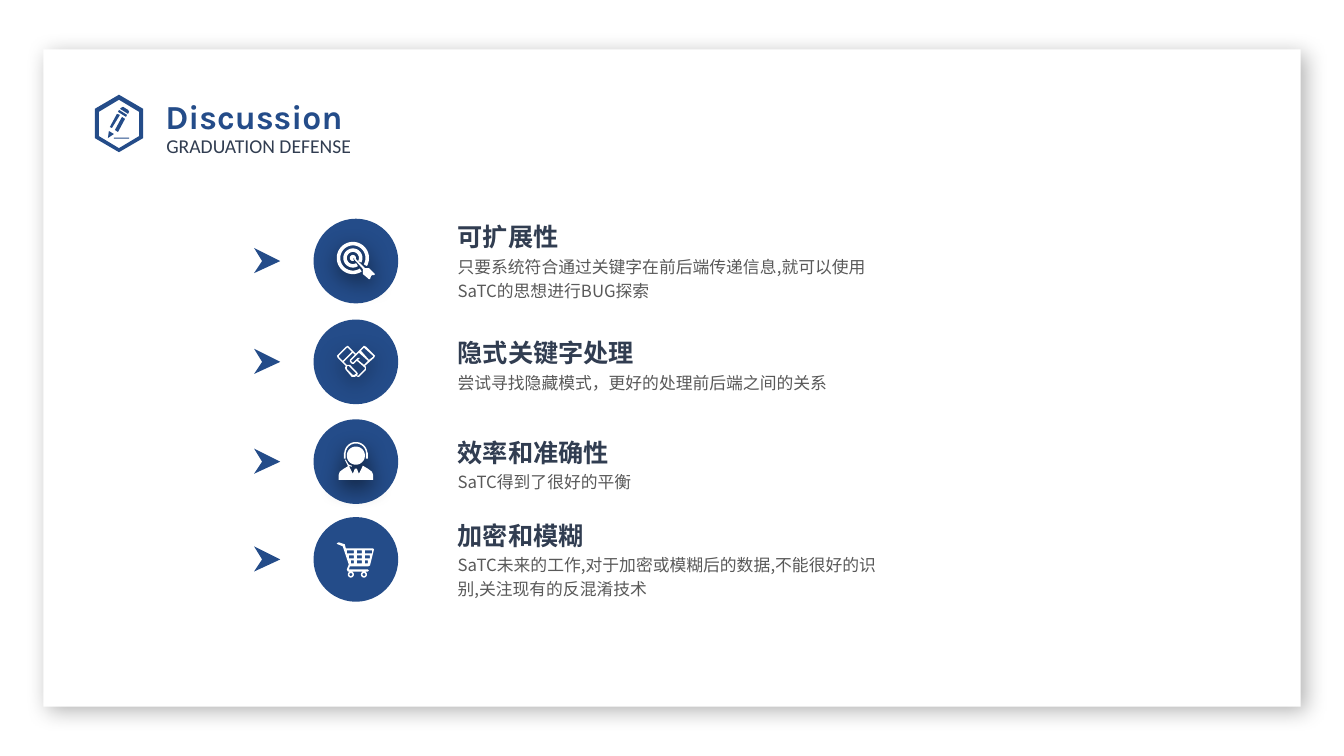
import math
from dataclasses import dataclass

import lxml.etree
import pptx
import pptx.dml.color
import pptx.enum.shapes
import pptx.enum.text
import pptx.oxml
import pptx.oxml.ns
import pptx.util


@dataclass
class Theme:
    blue: str = "244C89"
    ink: str = "313D51"
    gray: str = "595959"
    white: str = "FFFFFF"
    latin: str = "Calibri"
    head: str = "Karla"
    han: str = "Noto Sans CJK SC"
    title: int = 24
    label: int = 18
    sub: int = 14
    body: int = 12


theme = Theme()
inch = pptx.util.Inches
rgb = pptx.dml.color.RGBColor.from_string
qn = pptx.oxml.ns.qn

deck = pptx.Presentation()
deck.slide_width, deck.slide_height = inch(13.33), inch(7.5)
slide = deck.slides.add_slide(deck.slide_layouts[5])
shapes = slide.shapes


def paint(shape, color, shade=None):
    """Fill a shape; shade is opacity in percent, blur, distance, angle."""
    shape.shadow.inherit = False
    shape.fill.solid()
    shape.fill.fore_color.rgb = rgb(color)
    shape.line.fill.background()
    if shade:
        alpha, blur, dist, angle = shade
        list_el = shape._element.spPr.find(qn("a:effectLst"))
        cast = lxml.etree.SubElement(
            list_el, qn("a:outerShdw"), blurRad=str(blur * 12700),
            dist=str(dist * 12700), dir=str(angle * 60000),
            algn="ctr", rotWithShape="0")
        tone = lxml.etree.SubElement(cast, qn("a:srgbClr"), val="000000")
        lxml.etree.SubElement(tone, qn("a:alpha"), val=str(alpha * 1000))


def write(box, text, size, font, color, bold=False, space=1.2):
    """Put one line of formatted text in a box."""
    frame = box.text_frame
    frame.word_wrap = True
    frame.vertical_anchor = pptx.enum.text.MSO_ANCHOR.TOP
    para = frame.paragraphs[0]
    para.alignment = pptx.enum.text.PP_ALIGN.LEFT
    para.line_spacing = space
    run = para.add_run()
    run.text = text
    run.font.size = pptx.util.Pt(size)
    run.font.name = font
    run.font.bold = bold
    run.font.color.rgb = rgb(color)
    lxml.etree.SubElement(run._r.get_or_add_rPr(), qn("a:ea"), typeface=font)


# Outlines in hundredths of an inch around their centre.
# A list holds corners; a tuple is an arc: x, y, outer, inner, from, to.
badge = [
    [(0, -29), (24, -15), (24, 14), (0, 28), (-24, 14), (-24, -15)],
    [(0, -24), (20, -12), (20, 12), (0, 24), (-20, 12), (-20, -12)],
    [(-5, 13.5), (10, 13.5), (10, 14.5), (-5, 14.5)],
    [(-4, 6), (3, -7), (6, -5), (-1, 8)],
    [(-9, 3), (-2, -10), (1, -9), (-7, 4)],
    [(-11, 14), (-10, 7), (-5, 10)],
    [(0, -14), (-1, -12), (7, -7), (8, -9)],
    [(2, -16), (4, -17), (9, -14), (10, -12), (9, -10), (1, -15)],
]
arrow = [[(-13, -13), (-5, 0), (-13, 12), (13, 0)]]
target = [
    (-3, -3, 16, 12.5, 57, 390),
    (-3, -3, 9.5, 6, 58, 389),
    (-3, -3, 3, 0, 70, 380),
    [(-2, -2), (0, -2), (9, 7), (13, 7), (19, 13), (18, 14), (16, 14),
     (15, 15), (14, 18), (13, 18), (7, 13), (7, 8)],
]
hands = [
    [(8, -16), (10, -15), (18, -7), (19, -6), (18, -4), (9, 4), (10, 5),
     (10, 8), (3, 15), (2, 15), (0, 14), (-1, 15), (-4, 15), (-10, 8),
     (-11, 6), (-10, 4), (-18, -4), (-19, -6), (-18, -7), (-10, -15),
     (-8, -16), (-7, -15), (0, -8), (7, -15)],
    [(-7, 4), (-8, 4), (-9, 5), (-9, 7), (-3, 13), (-2, 13), (0, 12), (0, 11)],
    [(-3, -9), (-12, 0), (-9, 3), (-6, 3), (1, 10), (2, 12), (1, 13), (2, 14),
     (9, 7), (9, 6), (1, -1), (-2, 2), (-4, 2), (-6, 0), (-6, -2), (-1, -7)],
    [(3, -9), (-5, -1), (-3, 1), (2, -4), (4, -4), (2, -2), (8, 3), (12, -1)],
    [(-8, -14), (-9, -14), (-17, -6), (-17, -5), (-13, -1), (-4, -10)],
    [(8, -14), (5, -11), (13, -2), (17, -5), (17, -6)],
]
agent = [
    [(-7, 4), (-3, 12), (-1, 7), (1, 7), (3, 12), (7, 4), (12, 7), (16, 10),
     (17, 13), (17, 18), (-17, 18), (-17, 13), (-16, 10), (-12, 7)],
    (0, -6, 9, 0, 0, 360),
    (0, -8, 11.5, 10, 185, 355),
    [(-12, -9), (-10, -9), (-10, -3), (-12, -3)],
    [(12, -9), (10, -9), (10, -3), (12, -3)],
    [(-10, -2), (-7, 3), (-4, 4), (-4, 5), (-8, 4), (-11, -2)],
]
cart = [
    [(-17, -17), (-11, -15), (-10, -11), (17, -11), (18, -10), (14, 6),
     (12, 7), (-6, 7), (-7, 10), (12, 10), (13, 11), (12, 12), (-8, 12),
     (-9, 10), (-7, 5), (-13, -13), (-18, -15), (-19, -16)],
    (-5, 15, 3, 1.5, 0, 360),
    (8, 15, 3, 1.5, 0, 360),
]
for row in range(3):
    top, low = -9 + 5 * row, -6 + 5 * row
    left, right = -9 + 2 * row, 16 - 2 * row
    for start, end in ((left, -2), (1, 6), (9, right)):
        cart.append([(start, top), (end, top), (end, low), (start, low)])

# White card behind everything
card = shapes.add_shape(pptx.enum.shapes.MSO_SHAPE.RECTANGLE,
                        inch(0.43), inch(0.49), inch(12.47), inch(6.52))
paint(card, theme.white, (30, 15, 5, 45))
shapes._spTree.insert(2, card._element)

# Title and subtitle
title = shapes.title
title.left, title.top = inch(1.54), inch(0.82)
title.width, title.height = inch(3.97), inch(0.5)
write(title, "Discussion", theme.title, theme.head, theme.blue, True)
sub = shapes.add_textbox(inch(1.65), inch(1.24), inch(2.17), inch(0.34))
frame = sub.text_frame
frame.margin_left = frame.margin_right = frame.margin_top = 0
write(sub, "GRADUATION DEFENSE", theme.sub, theme.latin, theme.ink,
      space=pptx.util.Pt(23))

# Rows: centre of the disc, top of the text, icon, heading, details
glow = (71, 16, 5, 90)
rows = [
    (2.59, 2.09, target, glow, "可扩展性",
     "只要系统符合通过关键字在前后端传递信息,就可以使用SaTC的思想进行BUG探索", 0.59),
    (3.59, 3.24, hands, glow, "隐式关键字处理",
     "尝试寻找隐藏模式，更好的处理前后端之间的关系", 0.32),
    (4.58, 4.23, agent, glow, "效率和准确性", "SaTC得到了很好的平衡", 0.32),
    (5.55, 5.05, cart, None, "加密和模糊",
     "SaTC未来的工作,对于加密或模糊后的数据,不能很好的识别,关注现有的反混淆技术", 0.59),
]
marks = [(1.18, 1.23, badge, theme.blue, None)]
size = 0.84
for mid, top, icon, shade, label, text, tall in rows:
    disc = shapes.add_shape(pptx.enum.shapes.MSO_SHAPE.OVAL, inch(3.53 - size / 2),
                            inch(mid - size / 2), inch(size), inch(size))
    paint(disc, theme.blue)
    marks.append((2.65, mid, arrow, theme.blue, None))
    marks.append((3.53, mid, icon, theme.white, shade))
    body = shapes.add_textbox(inch(4.44), inch(top + 0.365), inch(4.45), inch(tall))
    write(body, text, theme.body, theme.han, theme.gray)
    head = shapes.add_textbox(inch(4.44), inch(top), inch(2.68), inch(0.43))
    write(head, label, theme.label, theme.han, theme.ink, True)
    shapes.add_group_shape([body, head])

# Badge, arrows and icons
for x, y, parts, color, shade in marks:
    pen = None
    for part in parts:
        if isinstance(part, tuple):
            cx, cy, outer, inner, start, end = part
            turns = [math.radians(start + (end - start) * k / 48) for k in range(49)]
            part = [(cx + r * math.cos(t), cy + r * math.sin(t))
                    for r, way in ((outer, turns), (inner, turns[::-1])) for t in way]
        dots = [(inch(x + h / 100), inch(y + v / 100)) for h, v in part]
        if pen is None:
            pen = shapes.build_freeform(*dots[0])
        else:
            pen.move_to(*dots[0])
        pen.add_line_segments(dots[1:])
    paint(pen.convert_to_shape(), color, shade)

deck.save("out.pptx")
